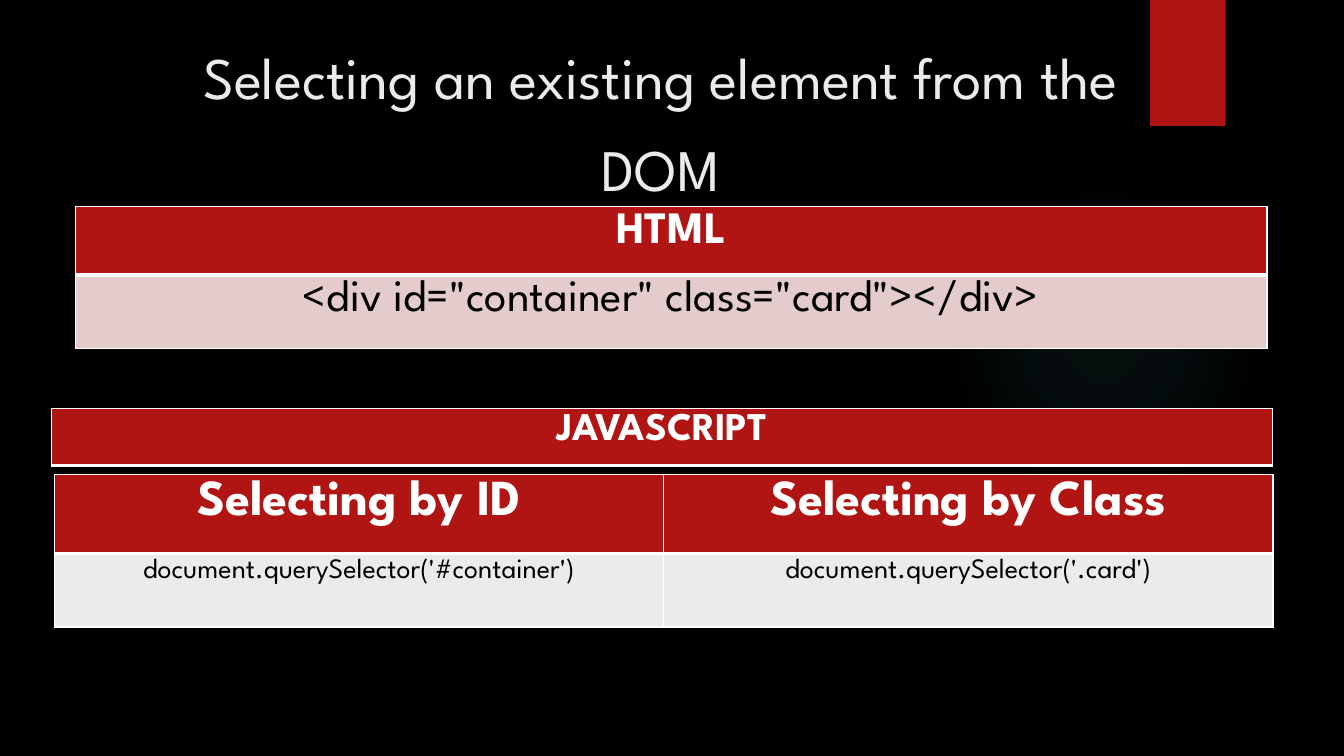
from dataclasses import dataclass

from lxml.etree import SubElement as Sub
from pptx import Presentation
from pptx.dml.color import RGBColor as RGB
from pptx.enum.shapes import MSO_SHAPE as Geo
from pptx.enum.text import MSO_ANCHOR as Anchor, MSO_AUTO_SIZE as Auto, PP_ALIGN as Align
from pptx.oxml import parse_xml
from pptx.oxml.ns import nsdecls, qn
from pptx.util import Pt


@dataclass(frozen=True)
class Theme:
    font: str = "League Spartan"
    back: str = "000000"
    red: str = "B01513"
    pink: str = "E4CCCC"
    gray: str = "EBEBEB"
    white: str = "FFFFFF"
    black: str = "000000"
    teal: str = "50B9C1"
    title: int = 42
    large: int = 36
    code: int = 32
    label: int = 28
    small: int = 20
    thin: int = 1
    thick: int = 3


class Deck:
    def __init__(self, theme):
        self.theme = theme
        self.prs = Presentation()
        self.prs.slide_width, self.prs.slide_height = Pt(960), Pt(540)
        self.slide = self.prs.slides.add_slide(self.prs.slide_layouts[5])
        fill = self.slide.background.fill
        fill.solid()
        fill.fore_color.rgb = RGB.from_string(theme.back)

    def style(self, para, size, color, bold=False):
        para.alignment = Align.CENTER
        font = para.font
        font.name, font.size, font.bold = self.theme.font, Pt(size), bold
        font.color.rgb = RGB.from_string(color)

    def shape(self, geo, box):
        item = self.slide.shapes.add_shape(geo, *map(Pt, box))
        item.shadow.inherit = False
        item.line.fill.background()
        return item

    def glow(self, box, stops):
        """Draw a soft disc; stops are (place, opacity) in percent."""
        item = self.shape(Geo.OVAL, box)
        marks = "".join(
            f'<a:gs pos="{place * 1000}"><a:srgbClr val="{self.theme.teal}">'
            f'<a:alpha val="{alpha * 1000}"/></a:srgbClr></a:gs>'
            for place, alpha in stops)
        grad = parse_xml(
            f'<a:gradFill {nsdecls("a")} rotWithShape="1"><a:gsLst>{marks}</a:gsLst>'
            '<a:path path="circle"><a:fillToRect l="50000" t="50000" r="50000" b="50000"/>'
            '</a:path></a:gradFill>')
        item.element.spPr.find(qn("a:prstGeom")).addnext(grad)

    def ribbon(self, box):
        item = self.shape(Geo.RECTANGLE, box)
        item.fill.solid()
        item.fill.fore_color.rgb = RGB.from_string(self.theme.red)

    def title(self, text, box):
        item = self.slide.shapes.title
        item.left, item.top, item.width, item.height = map(Pt, box)
        frame = item.text_frame
        frame.text = text
        frame.word_wrap, frame.auto_size = True, Auto.NONE
        frame.vertical_anchor = Anchor.MIDDLE
        para = frame.paragraphs[0]
        para.line_spacing = 1.3
        self.style(para, self.theme.title, self.theme.gray)

    def border(self, cell, top, bottom):
        thin = self.theme.thin
        props = cell._tc.get_or_add_tcPr()
        for side, width in zip("LRTB", (thin, thin, top, bottom)):
            line = Sub(props, qn(f"a:ln{side}"), w=str(Pt(width)))
            Sub(Sub(line, qn("a:solidFill")), qn("a:srgbClr"), val=self.theme.white)

    def table(self, left, top, width, heights, rows, sizes, tint=None):
        """Draw a red header row and, below it, rows filled with tint."""
        look = self.theme
        grid = self.slide.shapes.add_table(
            len(rows), len(rows[0]), Pt(left), Pt(top), Pt(width), Pt(sum(heights))).table
        grid.horz_banding = False
        for r, (row, high, size) in enumerate(zip(rows, heights, sizes)):
            grid.rows[r].height = Pt(high)
            head = r == 0
            for c, text in enumerate(row):
                cell = grid.cell(r, c)
                self.border(cell, look.thin if head else look.thick,
                            look.thick if head else look.thin)
                cell.fill.solid()
                cell.fill.fore_color.rgb = RGB.from_string(look.red if head else tint)
                cell.text = text
                self.style(cell.text_frame.paragraphs[0], size,
                           look.white if head else look.black, head)


def main():
    look = Theme()
    deck = Deck(look)
    deck.glow((677.5, 131.8, 221.8, 221.8), [(0, 7), (36, 6), (69, 0)])
    deck.ribbon((821.5, 0, 54, 90))
    deck.title("Selecting an existing element from the DOM", (101.5, 24.5, 741, 110))
    deck.table(54, 147.6, 851, (49, 52.6),
               [["HTML"], ['<div id="container" class="card"></div>']],
               (look.code, look.code), look.pink)
    deck.table(38.9, 339.1, 870.5, (56.2, 52.6),
               [["Selecting by ID", "Selecting by Class"],
                ["document.querySelector('#container')", "document.querySelector('.card')"]],
               (look.large, look.small), look.gray)
    deck.table(36.7, 291.6, 872, (41,), [["JAVASCRIPT"]], (look.label,))
    deck.prs.save("out.pptx")


if __name__ == "__main__":
    main()
